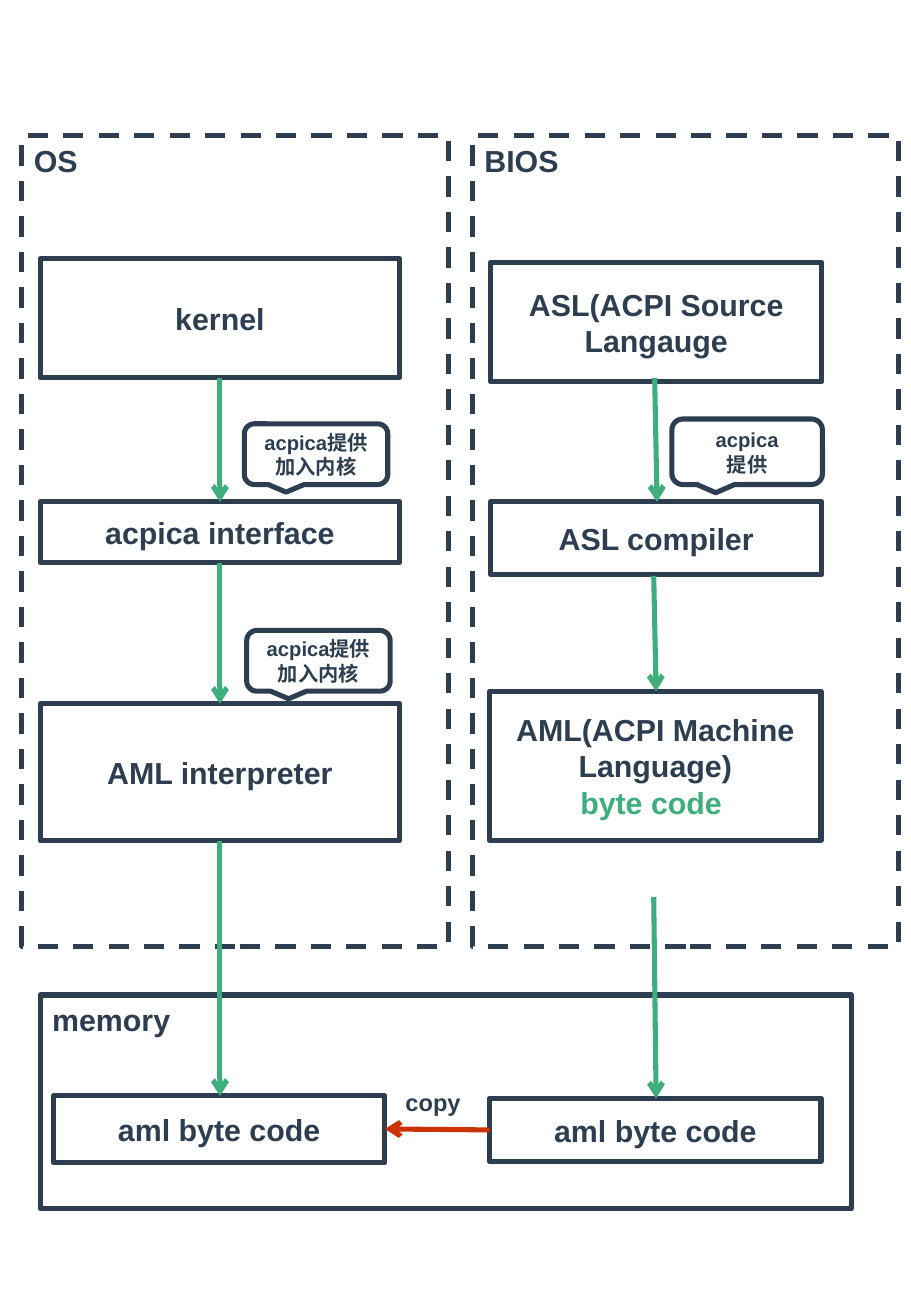
from dataclasses import dataclass

from pptx import Presentation
from pptx.dml.color import RGBColor as RGB
from pptx.enum.dml import MSO_LINE_DASH_STYLE as Dash
from pptx.enum.shapes import MSO_CONNECTOR_TYPE as Connector, MSO_SHAPE as Shape
from pptx.enum.text import MSO_ANCHOR as Anchor, MSO_AUTO_SIZE as AutoSize, PP_ALIGN as Align
from pptx.oxml.ns import qn
from pptx.util import Cm, Pt


@dataclass(frozen=True)
class Theme:
    ink: RGB = RGB.from_string("2C3E50")
    flow: RGB = RGB.from_string("3EAF7C")
    copying: RGB = RGB.from_string("CC3300")
    font: str = "Arial"
    box_size: Pt = Pt(18)
    note_size: Pt = Pt(12)
    label_size: Pt = Pt(14)
    stroke: Pt = Pt(3)


def apply(target, values):
    for name, value in values.items():
        setattr(target, name, value)


class Diagram:
    def __init__(self, slide, theme):
        self.shapes = slide.shapes
        self.theme = theme

    def put_text(self, holder, lines, size, align, **frame_format):
        """Fill a shape with (text, colour) paragraphs."""
        frame = holder.text_frame
        apply(frame, frame_format)
        for index, (text, color) in enumerate(lines):
            paragraph = frame.add_paragraph() if index else frame.paragraphs[0]
            paragraph.alignment = align
            run = paragraph.add_run()
            run.text = text
            apply(run.font, {"name": self.theme.font, "size": size, "bold": True})
            run.font.color.rgb = color

    def outline(self, kind, bounds, dash=None):
        shape = self.shapes.add_shape(kind, *map(Cm, bounds))
        shape.shadow.inherit = False
        shape.fill.background()
        shape.line.color.rgb = self.theme.ink
        apply(shape.line, {"width": self.theme.stroke, "dash_style": dash})
        return shape

    def box(self, bounds, text, accent=None):
        lines = [(text, self.theme.ink)]
        if accent:
            lines.append((accent, self.theme.flow))
        self.put_text(self.outline(Shape.RECTANGLE, bounds), lines, self.theme.box_size,
                      Align.CENTER, word_wrap=True, vertical_anchor=Anchor.MIDDLE)

    def region(self, bounds, title, dash=None):
        self.put_text(self.outline(Shape.RECTANGLE, bounds, dash), [(title, self.theme.ink)],
                      self.theme.box_size, Align.LEFT, word_wrap=True,
                      vertical_anchor=Anchor.TOP)

    def callout(self, bounds, *texts):
        bubble = self.outline(Shape.ROUNDED_RECTANGULAR_CALLOUT, bounds)
        self.put_text(bubble, [(text, self.theme.ink) for text in texts], self.theme.note_size,
                      Align.CENTER, word_wrap=True, vertical_anchor=Anchor.MIDDLE)

    def label(self, bounds, text):
        self.put_text(self.shapes.add_textbox(*map(Cm, bounds)), [(text, self.theme.ink)],
                      self.theme.label_size, Align.LEFT, word_wrap=False,
                      auto_size=AutoSize.SHAPE_TO_FIT_TEXT)

    def arrow(self, start, end, color):
        link = self.shapes.add_connector(Connector.STRAIGHT, *map(Cm, (*start, *end)))
        link.line.color.rgb = color
        link.line.width = self.theme.stroke
        properties = link._element.spPr
        line_xml = properties.find(qn("a:ln"))
        line_xml.append(line_xml.makeelement(qn("a:tailEnd"), {"type": "arrow"}))
        properties.append(properties.makeelement(qn("a:effectLst"), {}))


def draw_os(diagram):
    left, width, center = 0.84, 7.52, 4.6
    for top, height, text in ((5.41, 2.49, "kernel"),
                              (10.49, 1.27, "acpica interface"),
                              (14.71, 2.87, "AML interpreter")):
        diagram.box((left, top, width, height), text)
    for start, end in ((7.9, 10.49), (11.76, 14.71), (17.58, 22.91)):
        diagram.arrow((center, start), (center, end), diagram.theme.flow)
    for corner in ((5.11, 8.86), (5.16, 13.18)):
        diagram.callout((*corner, 3, 1.27), "acpica提供加入内核")


def draw_bios(diagram):
    width = 6.93
    diagram.box((10.26, 5.49, width, 2.49), "ASL(ACPI Source Langauge")
    diagram.box((10.26, 10.49, width, 1.52), "ASL compiler")
    diagram.box((10.24, 14.45, width, 3.12), "AML(ACPI Machine Language)", "byte code ")
    for x, start, end in ((13.69, 7.9, 10.49), (13.67, 12.04, 14.45), (13.67, 18.75, 22.96)):
        diagram.arrow((x, start), (x + 0.05, end), diagram.theme.flow)
    diagram.callout((14.05, 8.76, 3.15, 1.37), "acpica", "提供")


def draw_memory(diagram):
    diagram.region((0.84, 20.8, 16.97, 4.47), "memory")
    for left, top, height in ((1.12, 22.91, 1.4), (10.24, 22.96, 1.32)):
        diagram.box((left, top, 6.93, height), "aml byte code")
    diagram.arrow((10.24, 23.62), (8.05, 23.6), diagram.theme.copying)
    diagram.label((8.23, 22.61, 1.8, 0.86), "copy")


def main():
    deck = Presentation()
    apply(deck, {"slide_width": Cm(19.05), "slide_height": Cm(27.51)})
    diagram = Diagram(deck.slides.add_slide(deck.slide_layouts[6]), Theme())
    for left, title in ((0.46, "OS"), (9.88, "BIOS")):
        diagram.region((left, 2.84, 8.92, 16.94), title, Dash.DASH)
    draw_memory(diagram)
    draw_os(diagram)
    draw_bios(diagram)
    deck.save("out.pptx")


if __name__ == "__main__":
    main()
